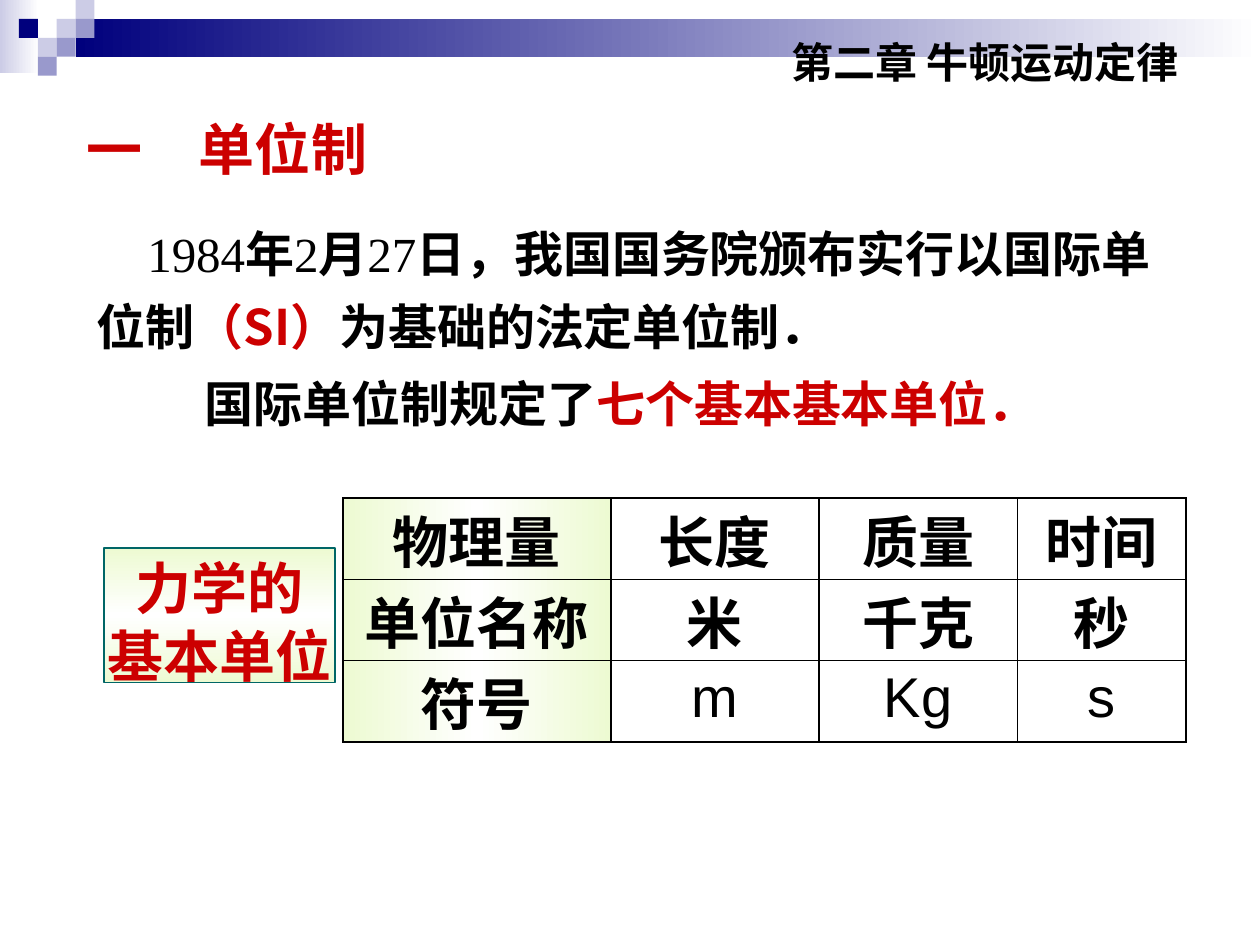
from copy import deepcopy
from dataclasses import dataclass

from lxml.etree import SubElement
from pptx import Presentation
from pptx.dml.color import RGBColor
from pptx.enum.shapes import MSO_SHAPE
from pptx.enum.text import MSO_ANCHOR, MSO_AUTO_SIZE, PP_ALIGN
from pptx.oxml import parse_xml
from pptx.oxml.ns import nsdecls, qn
from pptx.util import Pt


@dataclass(frozen=True)
class Theme:
    black: str = "000000"
    red: str = "CC0000"
    white: str = "FFFFFF"
    navy: str = "00007D"
    violet: str = "9999CC"
    lavender: str = "CCCCE6"
    lime: str = "EDFAD2"
    teal: str = "006666"
    chinese: str = "Noto Sans CJK SC"
    sans: str = "Arial"
    serif: str = "Times New Roman"
    large: float = 32
    medium: float = 28
    small: float = 24
    inset_x: float = 7.2
    inset_y: float = 3.6


class SlideBuilder:
    def __init__(self, slide, theme):
        self.slide = slide
        self.theme = theme

    def add_runs(self, paragraph, runs, size, align=PP_ALIGN.LEFT, spacing=None, indent=0):
        """Add runs given as (text, colour) or (text, colour, plain Latin font)."""
        properties = paragraph._p.get_or_add_pPr()
        properties.set("marL", "0")
        properties.set("indent", str(Pt(indent)))
        SubElement(properties, qn("a:buNone"))
        paragraph.alignment = align
        paragraph.space_before = Pt(0)
        if spacing:
            paragraph.line_spacing = Pt(spacing)
        for text, colour, *latin in runs:
            run = paragraph.add_run()
            run.text = text
            font = run.font
            font.size = Pt(size)
            font.bold = not latin
            font.color.rgb = RGBColor.from_string(colour)
            font.name = latin[0] if latin else self.theme.chinese
            east_asian = SubElement(run._r.get_or_add_rPr(), qn("a:ea"))
            east_asian.set("typeface", self.theme.chinese)

    def fill(self, fill, properties, colours, angle):
        """Fill with one colour, or with a gradient of evenly spaced colours."""
        if len(colours) == 1:
            fill.solid()
            fill.fore_color.rgb = RGBColor.from_string(colours[0])
            return
        fill.gradient()
        fill.gradient_angle = angle
        stop_list = properties.find(".//" + qn("a:gsLst"))
        while len(stop_list) < len(colours):
            stop_list.append(deepcopy(stop_list[0]))
        for index, (stop, colour) in enumerate(zip(fill.gradient_stops, colours)):
            stop.color.rgb = RGBColor.from_string(colour)
            stop.position = index / (len(colours) - 1)

    def rectangle(self, left, top, width, height, colours, angle=180, line=None):
        shape = self.slide.shapes.add_shape(
            MSO_SHAPE.RECTANGLE, Pt(left), Pt(top), Pt(width), Pt(height))
        shape.shadow.inherit = False
        self.fill(shape.fill, shape._element.spPr, colours, angle)
        if line:
            shape.line.color.rgb = RGBColor.from_string(line)
            shape.line.width = Pt(1)
        else:
            shape.line.fill.background()
        return shape

    def frame(self, shape, inset_x, inset_y, wrap=True):
        frame = shape.text_frame
        frame.word_wrap = wrap
        frame.auto_size = MSO_AUTO_SIZE.NONE
        frame.vertical_anchor = MSO_ANCHOR.TOP
        frame.margin_left = frame.margin_right = Pt(inset_x)
        frame.margin_top = frame.margin_bottom = Pt(inset_y)
        return frame

    def placeholder(self, shape, left, top, width, height, runs, size, **layout):
        shape.left, shape.top = Pt(left), Pt(top)
        shape.width, shape.height = Pt(width), Pt(height)
        frame = self.frame(shape, self.theme.inset_x, self.theme.inset_y)
        self.add_runs(frame.paragraphs[0], runs, size, **layout)

    def text(self, left, top, width, height, runs, size):
        shape = self.slide.shapes.add_textbox(Pt(left), Pt(top), Pt(width), Pt(height))
        frame = self.frame(shape, self.theme.inset_x, self.theme.inset_y)
        self.add_runs(frame.paragraphs[0], runs, size)

    def label(self, left, top, width, height, lines):
        theme = self.theme
        shape = self.rectangle(left, top, width, height,
                               (theme.lime, theme.white, theme.lime), 90, theme.teal)
        frame = self.frame(shape, 0, theme.inset_y, wrap=False)
        for index, line in enumerate(lines):
            paragraph = frame.add_paragraph() if index else frame.paragraphs[0]
            self.add_runs(paragraph, [(line, theme.red)], theme.large,
                          PP_ALIGN.CENTER, spacing=38.4)

    def borders(self, cell):
        properties = cell._tc.get_or_add_tcPr()
        for side in ("lnL", "lnR", "lnT", "lnB"):
            properties.append(parse_xml(
                f'<a:{side} {nsdecls("a")} w="{Pt(0.75)}"><a:solidFill>'
                f'<a:srgbClr val="{self.theme.black}"/></a:solidFill></a:{side}>'))

    def table(self, left, top, widths, row_height, rows):
        theme = self.theme
        table = self.slide.shapes.add_table(
            len(rows), len(widths), Pt(left), Pt(top),
            Pt(sum(widths)), Pt(row_height * len(rows))).table
        table.first_row = table.horz_banding = False
        for column, width in zip(table.columns, widths):
            column.width = Pt(width)
        for row_index, values in enumerate(rows):
            table.rows[row_index].height = Pt(row_height)
            for column_index, value in enumerate(values):
                cell = table.cell(row_index, column_index)
                self.borders(cell)
                if column_index == 0:
                    self.fill(cell.fill, cell._tc.tcPr,
                              (theme.lime, theme.white, theme.lime), 180)
                else:
                    cell.fill.background()
                latin = [theme.sans] if value.isascii() else []
                cell.margin_left = cell.margin_right = Pt(theme.inset_x)
                cell.margin_top = Pt(theme.inset_y if latin else 0)
                cell.margin_bottom = Pt(0)
                self.add_runs(cell.text_frame.paragraphs[0],
                              [(value, theme.black, *latin)], theme.large, PP_ALIGN.CENTER)

    def header_band(self):
        theme = self.theme
        tile = 10.8
        self.rectangle(0, 0, 22.3, 41.8, (theme.white, theme.lavender))
        self.rectangle(4 * tile, tile, 720 - 4 * tile, 2 * tile, (theme.white, theme.navy))
        tiles = {
            theme.lavender: [(3, 1), (4, 0), (2, 2)],
            theme.violet: [(4, 1), (3, 2), (2, 3)],
            theme.navy: [(1, 1)],
        }
        for colour, places in tiles.items():
            for column, row in places:
                self.rectangle(column * tile, row * tile, tile, tile, [colour])


def main():
    presentation = Presentation()
    presentation.slide_width, presentation.slide_height = Pt(720), Pt(540)
    slide = presentation.slides.add_slide(presentation.slide_layouts[1])
    theme = Theme()
    builder = SlideBuilder(slide, theme)

    builder.header_band()
    builder.text(445, 17.5, 249, 40, [("第二章 牛顿运动定律", theme.black)], theme.small)
    builder.placeholder(slide.shapes.title, 42.5, 62, 244, 50,
                        [("一　单位制", theme.red)], theme.large)
    decree = [
        ("1984", theme.black, theme.serif), ("年", theme.black),
        ("2", theme.black, theme.serif), ("月", theme.black),
        ("27", theme.black, theme.serif),
        ("日，我国国务院颁布实行以国际单位制", theme.black),
        ("（SI）", theme.red), ("为基础的法定单位制．", theme.black),
    ]
    builder.placeholder(slide.placeholders[1], 48.2, 116, 630, 93.6,
                        decree, theme.medium, spacing=41.7, indent=28.8)
    builder.text(110, 210, 578, 48,
                 [("国际单位制规定了", theme.black), ("七个基本基本单位．", theme.red)],
                 theme.medium)
    builder.label(59.6, 313, 132, 77, ["力学的", "基本单位"])
    builder.table(196, 284.6, [153.2, 118.8, 113.4, 96.4], 45.9, [
        ["物理量", "长度", "质量", "时间"],
        ["单位名称", "米", "千克", "秒"],
        ["符号", "m", "Kg", "s"],
    ])
    presentation.save("out.pptx")


if __name__ == "__main__":
    main()
